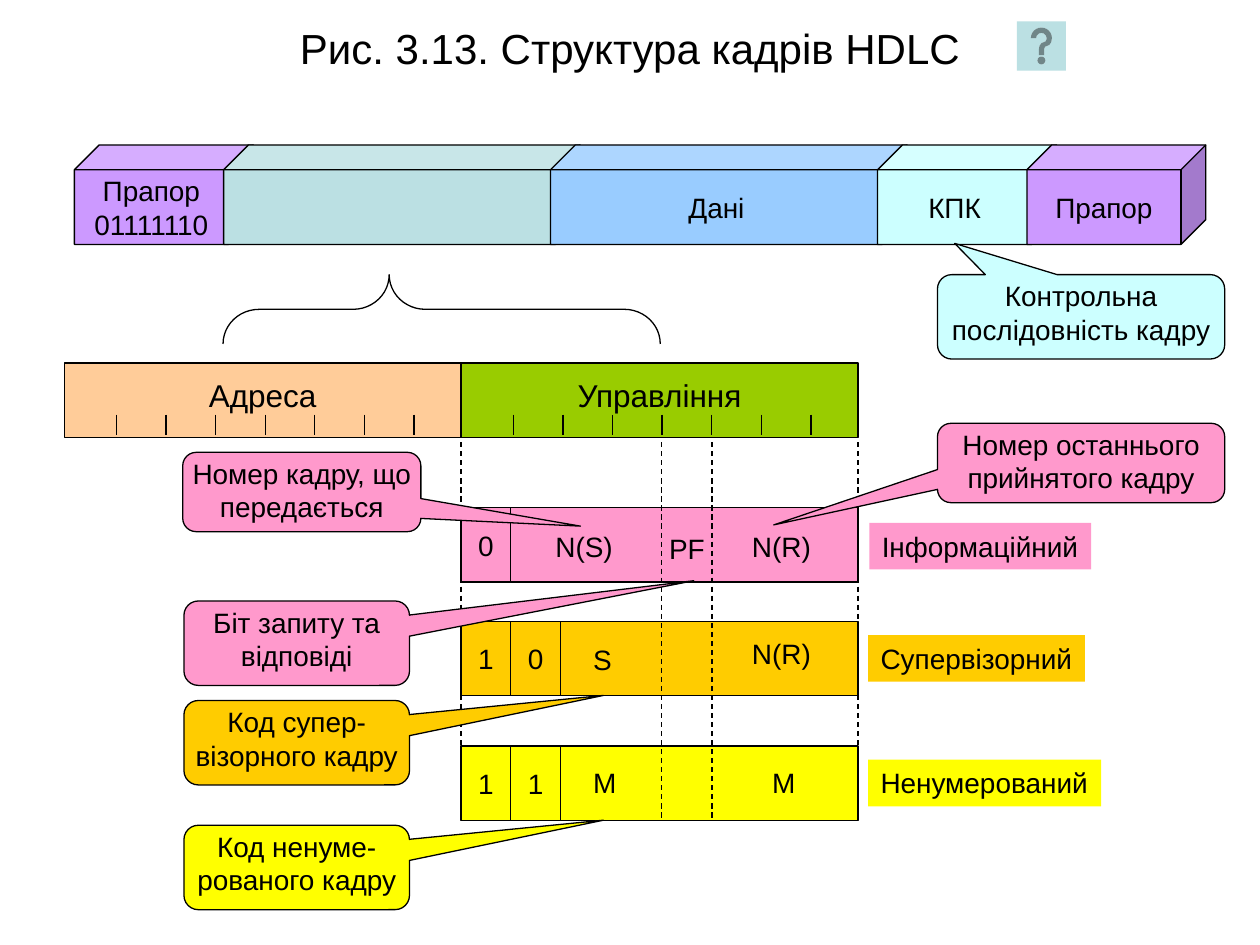
from dataclasses import dataclass
from typing import Optional

from lxml import etree
from pptx import Presentation
from pptx.dml.color import RGBColor
from pptx.enum import dml, shapes, text
from pptx.oxml import ns
from pptx.util import Inches, Pt

BLACK = RGBColor(0x00, 0x00, 0x00)
PINK = RGBColor(0xFF, 0x99, 0xCC)
AMBER = RGBColor(0xFF, 0xCC, 0x00)
YELLOW = RGBColor(0xFF, 0xFF, 0x00)
VIOLET = RGBColor(0xCC, 0x99, 0xFF)
TEAL = RGBColor(0xBB, 0xE0, 0xE3)
BLUE = RGBColor(0x99, 0xCC, 0xFF)
CYAN = RGBColor(0xCC, 0xFF, 0xFF)
PEACH = RGBColor(0xFF, 0xCC, 0x99)
GREEN = RGBColor(0x99, 0xCC, 0x00)

SHAPE = shapes.MSO_SHAPE
CENTER, LEFT = text.PP_ALIGN.CENTER, text.PP_ALIGN.LEFT
MIDDLE, TOP = text.MSO_ANCHOR.MIDDLE, text.MSO_ANCHOR.TOP
PAD = (0.1, 0.05, 0.1, 0.05)
NO_PAD = (0, 0, 0, 0)

FIELD_LEFT, FIELD_WIDTH, FIELD_HEIGHT = 3.66, 3.15, 0.59
FIELD_RIGHT = FIELD_LEFT + FIELD_WIDTH
BIT = FIELD_WIDTH / 8
CUBE_OVERLAP = 0.235


@dataclass
class Block:
    label: str
    width: float
    fill: RGBColor


@dataclass
class Label:
    label: str
    left: float
    top: float
    width: float
    height: float = 0.37
    pad: tuple = PAD


@dataclass
class FrameRow:
    top: float
    fill: RGBColor
    bits: str
    labels: list[Label]


@dataclass
class Callout:
    label: str
    left: float
    top: float
    width: float
    height: float
    tip: tuple[float, float]
    fill: RGBColor


BLOCKS = [
    Block("Прапор\n01111110", 1.42, VIOLET),
    Block("", 2.83, TEAL),
    Block("Дані", 2.83, BLUE),
    Block("КПК", 1.42, CYAN),
    Block("Прапор", 1.42, VIOLET),
]

ROWS = [
    FrameRow(4.03, PINK, "0", [
        Label("N(S)", 4.31, 4.15, 0.65),
        Label("N(R)", 5.87, 4.15, 0.67),
        Label("PF", 5.31, 4.22, 0.28, 0.27, NO_PAD),
        Label("Інформаційний", 6.9, 4.15, 1.76),
    ]),
    FrameRow(4.93, AMBER, "10", [
        Label("N(R)", 5.87, 5, 0.67),
        Label("S", 4.61, 5.05, 0.35),
        Label("Супервізорний", 6.89, 5.04, 1.72),
    ]),
    FrameRow(5.92, YELLOW, "11", [
        Label("M", 4.61, 6.03, 0.38),
        Label("M", 6.03, 6.03, 0.38),
        Label("Ненумерований", 6.89, 6.03, 1.85),
    ]),
]

CALLOUTS = [
    Callout("Біт запиту та відповіді", 1.46, 4.77, 1.79, 0.67, (1.76, -0.74), PINK),
    Callout("Код супер-візорного кадру", 1.46, 5.56, 1.79, 0.67, (1.36, -0.56), AMBER),
    Callout("Код ненуме-рованого кадру", 1.46, 6.55, 1.79, 0.67, (1.36, -0.56), YELLOW),
    Callout("Номер останнього прийнятого кадру", 7.44, 3.36, 2.28, 0.63, (-1.07, 0.78), PINK),
    Callout("Номер кадру, що передається", 1.45, 3.59, 1.89, 0.63, (1.17, 0.43), PINK),
    Callout("Контрольна послідовність кадру", 7.44, 2.18, 2.28, 0.67, (-0.44, -0.87), CYAN),
]


def write(tf, content: str, *, size=16, align=CENTER, anchor=MIDDLE, pad=PAD, wrap=False) -> None:
    tf.word_wrap = wrap
    tf.auto_size = text.MSO_AUTO_SIZE.NONE
    tf.vertical_anchor = anchor
    tf.margin_left, tf.margin_top, tf.margin_right, tf.margin_bottom = map(Inches, pad)
    for i, line in enumerate(content.split("\n")):
        p = tf.add_paragraph() if i else tf.paragraphs[0]
        p.alignment = align
        r = p.add_run()
        r.text = line
        r.font.name = "Arial"
        r.font.size = Pt(size)
        r.font.color.rgb = BLACK


def add_shape(s, kind, left: float, top: float, width: float, height: float,
              fill: Optional[RGBColor], outlined: bool = True):
    sp = s.shapes.add_shape(kind, *map(Inches, (left, top, width, height)))
    sp.shadow.inherit = False
    if fill is None:
        sp.fill.background()
    else:
        sp.fill.solid()
        sp.fill.fore_color.rgb = fill
    if outlined:
        sp.line.color.rgb = BLACK
        sp.line.width = Pt(0.75)
    else:
        sp.line.fill.background()
    return sp


def add_vertical(s, x: float, top: float, bottom: float, dashed: bool = False) -> None:
    line = s.shapes.add_connector(shapes.MSO_CONNECTOR.STRAIGHT,
                                  *map(Inches, (x, top, x, bottom)))
    line.line.color.rgb = BLACK
    line.line.width = Pt(0.75)
    if dashed:
        line.line.dash_style = dml.MSO_LINE.DASH
    etree.SubElement(line._element.spPr, ns.qn("a:effectLst"))


def add_row(s, row: FrameRow) -> None:
    left = FIELD_LEFT
    for bit in row.bits:
        sp = add_shape(s, SHAPE.RECTANGLE, left, row.top, BIT, FIELD_HEIGHT, row.fill)
        write(sp.text_frame, bit)
        left += BIT
    add_shape(s, SHAPE.RECTANGLE, left, row.top, FIELD_RIGHT - left, FIELD_HEIGHT, row.fill)
    for item in row.labels:
        sp = add_shape(s, SHAPE.RECTANGLE, item.left, item.top, item.width, item.height,
                       row.fill, outlined=False)
        write(sp.text_frame, item.label, align=LEFT, anchor=TOP, pad=item.pad)


def add_frame(s) -> None:
    left = 0.59
    for block in BLOCKS:
        sp = add_shape(s, SHAPE.CUBE, left, 1.15, block.width, 0.79, block.fill)
        sp.adjustments[0] = 0.25
        if block.label:
            write(sp.text_frame, block.label)
        left += block.width - CUBE_OVERLAP


def add_octet(s, label: str, left: float, fill: RGBColor) -> None:
    sp = add_shape(s, SHAPE.RECTANGLE, left, 2.88, FIELD_WIDTH, FIELD_HEIGHT, fill)
    write(sp.text_frame, label, size=18, pad=(0.1, 0.05, 0.1, 0.13))
    for i in range(1, 8):
        add_vertical(s, left + 0.02 + i * BIT, 3.29, 3.45)


def add_callout(s, item: Callout) -> None:
    sp = add_shape(s, SHAPE.ROUNDED_RECTANGULAR_CALLOUT, item.left, item.top,
                   item.width, item.height, item.fill)
    sp.adjustments[0], sp.adjustments[1] = item.tip
    sp.adjustments[2] = 0.17
    write(sp.text_frame, item.label, anchor=TOP, pad=NO_PAD, wrap=True)


def main() -> None:
    prs = Presentation()
    prs.slide_width, prs.slide_height = Inches(10), Inches(7.5)
    s = prs.slides.add_slide(prs.slide_layouts[5])
    title = s.shapes.title
    title.left, title.top, title.width, title.height = map(Inches, (0, 0.13, 10, 0.5))
    write(title.text_frame, "Рис. 3.13. Структура кадрів HDLC", size=24, anchor=TOP, wrap=True)

    for row in ROWS:
        add_row(s, row)
    add_shape(s, SHAPE.ACTION_BUTTON_HELP, 8.07, 0.17, 0.39, 0.39, TEAL, outlined=False)
    add_frame(s)
    add_octet(s, "Адреса", FIELD_LEFT - FIELD_WIDTH, PEACH)
    add_octet(s, "Управління", FIELD_LEFT, GREEN)
    for x in (5.25, 5.65, FIELD_LEFT, FIELD_RIGHT):
        add_vertical(s, x, 3.51, 6.5, dashed=True)
    for item in CALLOUTS:
        add_callout(s, item)
    brace = add_shape(s, SHAPE.LEFT_BRACE, 3.23, 0.72, 0.55, 3.47, None)
    brace.rotation = 90
    brace.adjustments[0], brace.adjustments[1] = 0.52, 0.62
    prs.save("out.pptx")


if __name__ == "__main__":
    main()
